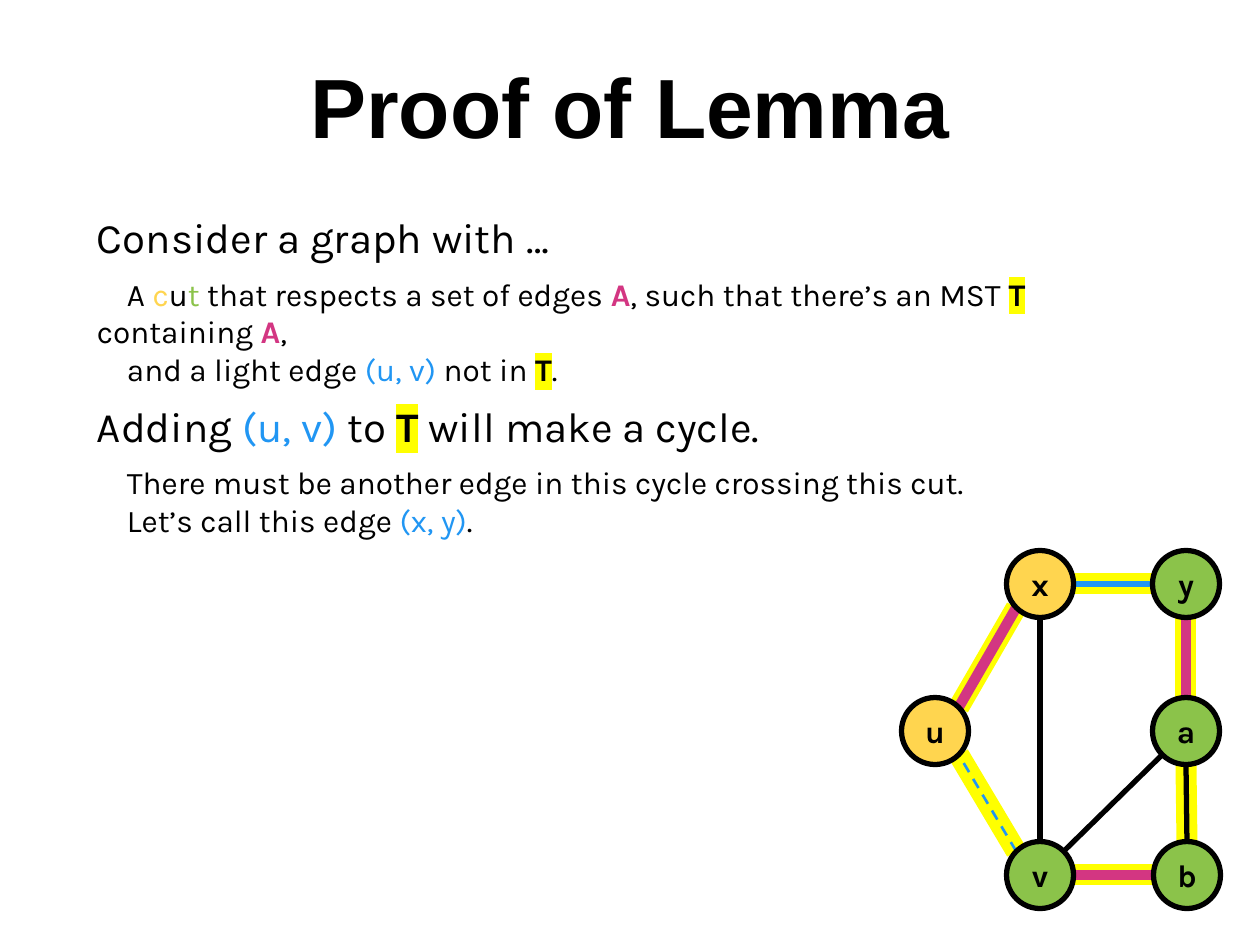
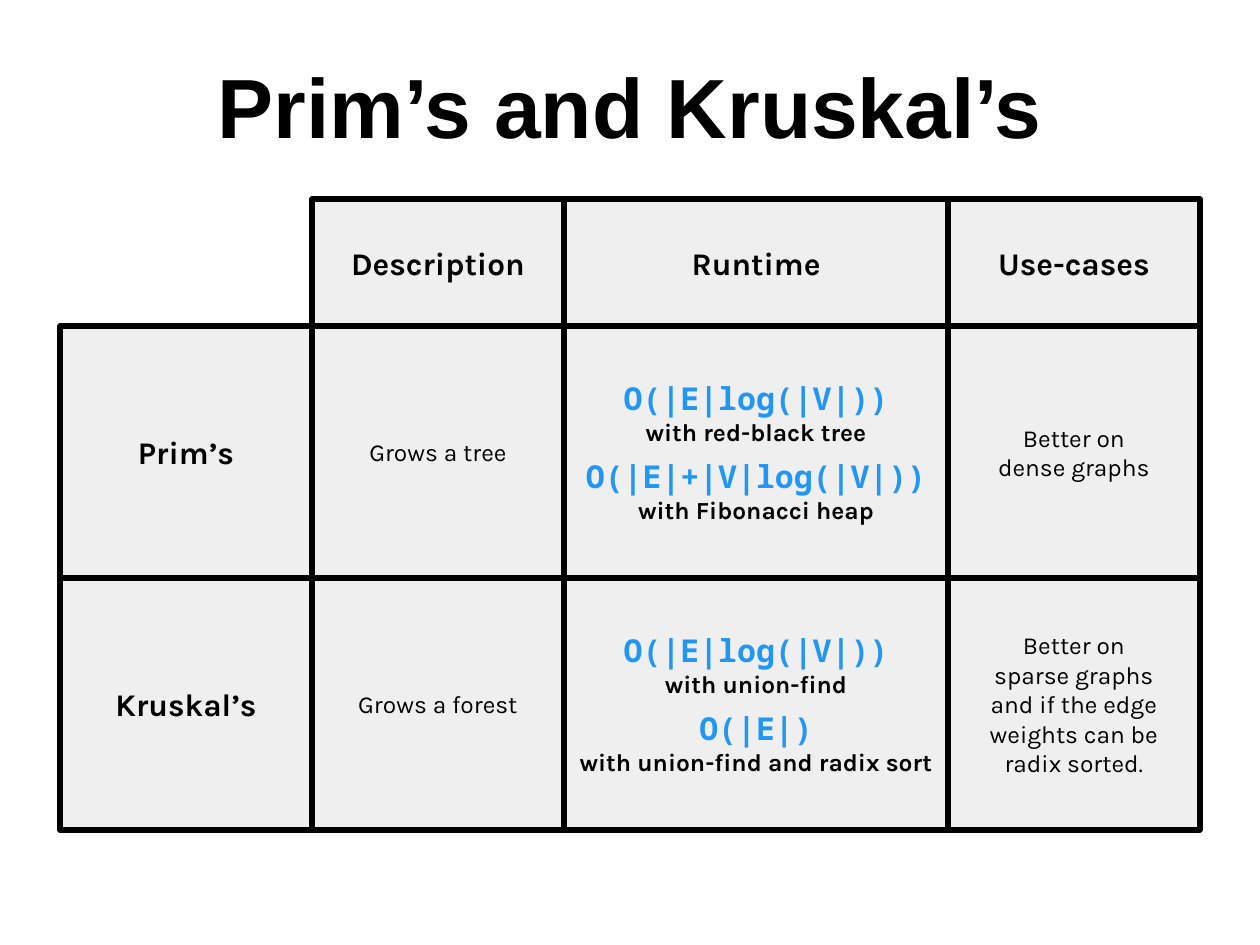
import lxml.etree
import pptx
import pptx.dml.color
import pptx.enum.dml
import pptx.enum.shapes
import pptx.enum.text
import pptx.oxml.ns
import pptx.util

EMU_PER_PX = 914400 / 126
MARGIN = 13
NODE_SIZE = 67
PROOF_GAP = 7  # points between text groups
COST_GAP = 6

COLORS = {
    "black": "000000",
    "white": "FFFFFF",
    "yellow": "FFFF00",
    "amber": "FFD54F",
    "green": "8BC34A",
    "pink": "D33682",
    "blue": "2196F3",
    "grey": "EFEFEF",
}

# name: (font, size, bold, color)
STYLES = {
    "title": ("Arial", 48, True, "black"),
    "point": ("Karla", 24, False, "black"),
    "detail": ("Karla", 18, False, "black"),
    "label": ("Karla", 18, True, "black"),
    "body": ("Karla", 14, False, "black"),
    "cost": ("Noto Sans Mono", 18, True, "blue"),
    "note": ("Karla", 14, True, "black"),
}

# Marks that a run may carry: (color, bold, highlighted)
MARKS = {
    "left": ("amber", False, False),
    "right": ("green", False, False),
    "set": ("pink", True, False),
    "edge": ("blue", False, False),
    "tree": ("black", True, True),
}
A, T, UV = ("A", "set"), ("T", "tree"), ("(u, v)", "edge")

# (style, starts a group, runs)
PROOF = [
    ("point", False, ["Consider a graph with …"]),
    ("detail", True, ["A ", ("c", "left"), "u", ("t", "right"),
                      " that respects a set of edges ", A,
                      ", such that there’s an MST ", T, " containing ", A, ","]),
    ("detail", False, ["and a light edge ", UV, " not in ", T, "."]),
    ("point", True, ["Adding ", UV, " to ", T, " will make a cycle."]),
    ("detail", True, ["There must be another edge in this cycle crossing this cut."]),
    ("detail", False, ["Let’s call this edge ", ("(x, y)", "edge"), "."]),
]

# name: (center x, center y, color)
NODES = {
    "x": (1040, 584, "amber"),
    "y": (1186, 584, "green"),
    "b": (1187, 875, "green"),
    "u": (935, 731, "amber"),
    "v": (1040, 875, "green"),
    "a": (1186, 731, "green"),
}

SIDES = {"n": (0, -1), "s": (0, 1), "e": (1, 0), "w": (-1, 0),
         "ne": (0.71, -0.71), "se": (0.71, 0.71),
         "nw": (-0.71, -0.71), "sw": (-0.71, 0.71)}

# (from node, side, to node, side, color, width, dashed, highlighted)
EDGES = [
    ("x", "e", "y", "w", "blue", 3, False, True),
    ("v", "e", "b", "w", "pink", 6, False, True),
    ("v", "nw", "u", "se", "blue", 1.5, True, True),
    ("u", "ne", "x", "sw", "pink", 6, False, True),
    ("v", "n", "x", "s", "black", 3, False, False),
    ("a", "n", "y", "s", "pink", 6, False, True),
    ("b", "n", "a", "s", "black", 3, False, True),
    ("v", "ne", "a", "sw", "black", 3, False, False),
]

GRID_LEFT, GRID_TOP = 60, 199
COLUMN_WIDTHS = [252, 252, 384, 252]
ROW_HEIGHTS = [127, 252, 252]
# Each cell is a list of (style, text)
COMPARISON = [
    [[], [("label", "Description")], [("label", "Runtime")], [("label", "Use-cases")]],
    [[("label", "Prim’s")],
     [("body", "Grows a tree")],
     [("cost", "O(|E|log(|V|))"), ("note", "with red-black tree"),
      ("cost", "O(|E|+|V|log(|V|))"), ("note", "with Fibonacci heap")],
     [("body", "Better on"), ("body", "dense graphs")]],
    [[("label", "Kruskal’s")],
     [("body", "Grows a forest")],
     [("cost", "O(|E|log(|V|))"), ("note", "with union-find"),
      ("cost", "O(|E|)"), ("note", "with union-find and radix sort")],
     [("body", "Better on"), ("body", "sparse graphs"), ("body", "and if the edge"),
      ("body", "weights can be"), ("body", "radix sorted.")]],
]


def px(length):
    return pptx.util.Emu(round(length * EMU_PER_PX))


def rgb(color):
    return pptx.dml.color.RGBColor.from_string(COLORS[color])


def add_xml(parent, tag, **attributes):
    return lxml.etree.SubElement(parent, pptx.oxml.ns.qn(tag), **attributes)


def prepare_text(text_frame):
    text_frame.word_wrap = True
    text_frame.margin_left = text_frame.margin_right = px(MARGIN)
    text_frame.margin_top = text_frame.margin_bottom = px(MARGIN)


def style_paragraph(paragraph, style, centered=True):
    name, size, bold, color = STYLES[style]
    if centered:
        paragraph.alignment = pptx.enum.text.PP_ALIGN.CENTER
    paragraph.font.name = name
    paragraph.font.size = pptx.util.Pt(size)
    paragraph.font.bold = bold
    paragraph.font.color.rgb = rgb(color)


def next_paragraph(text_frame, index):
    return text_frame.add_paragraph() if index else text_frame.paragraphs[0]


def add_text_box(slide, left, top, width, height):
    box = slide.shapes.add_textbox(px(left), px(top), px(width), px(height))
    prepare_text(box.text_frame)
    return box.text_frame


def add_outlined_shape(slide, kind, left, top, width, height, fill, lines):
    """Add a filled shape with a black outline and centred (style, text) lines."""
    shape = slide.shapes.add_shape(kind, px(left), px(top), px(width), px(height))
    shape.shadow.inherit = False
    shape.fill.solid()
    shape.fill.fore_color.rgb = rgb(fill)
    shape.line.color.rgb = rgb("black")
    shape.line.width = pptx.util.Pt(3)
    add_xml(shape.line._get_or_add_ln(), "a:round")
    prepare_text(shape.text_frame)
    shape.text_frame.vertical_anchor = pptx.enum.text.MSO_ANCHOR.MIDDLE
    for index, (style, text) in enumerate(lines):
        paragraph = next_paragraph(shape.text_frame, index)
        paragraph.text = text
        if index and style == "cost":
            paragraph.space_before = pptx.util.Pt(COST_GAP)
        style_paragraph(paragraph, style)


def add_slide(presentation, title):
    slide = presentation.slides.add_slide(presentation.slide_layouts[6])
    slide.background.fill.solid()
    slide.background.fill.fore_color.rgb = rgb("white")
    paragraph = add_text_box(slide, 0, 42, 1260, 157).paragraphs[0]
    paragraph.text = title
    style_paragraph(paragraph, "title")
    return slide


def add_marked_run(paragraph, text, mark):
    color, bold, highlighted = MARKS[mark]
    run = paragraph.add_run()
    run.text = text
    run.font.bold = bold
    run.font.color.rgb = rgb(color)
    if highlighted:
        highlight = add_xml(run.font._element, "a:highlight")
        add_xml(highlight, "a:srgbClr", val=COLORS["yellow"])


def add_proof(slide):
    text_frame = add_text_box(slide, 84, 199, 1092, 746)
    for index, (style, starts_group, runs) in enumerate(PROOF):
        paragraph = next_paragraph(text_frame, index)
        if style == "detail":
            properties = paragraph._p.get_or_add_pPr()
            properties.set("marL", "0")
            properties.set("indent", str(px(30)))
        if starts_group:
            paragraph.space_before = pptx.util.Pt(PROOF_GAP)
        style_paragraph(paragraph, style, centered=False)
        for run in runs:
            if isinstance(run, str):
                paragraph.add_run().text = run
            else:
                add_marked_run(paragraph, *run)


def node_side(node, side):
    """Return the point where an edge meets the rim of a node."""
    center_x, center_y, _ = NODES[node]
    step_x, step_y = SIDES[side]
    return (px(center_x + step_x * NODE_SIZE / 2),
            px(center_y + step_y * NODE_SIZE / 2))


def add_edge(slide, start, end, color, width, dashed=False):
    connector = slide.shapes.add_connector(
        pptx.enum.shapes.MSO_CONNECTOR.STRAIGHT, *start, *end)
    connector.line.color.rgb = rgb(color)
    connector.line.width = pptx.util.Pt(width)
    if dashed:
        connector.line.dash_style = pptx.enum.dml.MSO_LINE.DASH
    add_xml(connector._element.spPr, "a:effectLst")


def add_graph(slide):
    edges = [(node_side(*edge[:2]), node_side(*edge[2:4]), *edge[4:]) for edge in EDGES]
    for start, end, *_, highlighted in edges:
        if highlighted:
            add_edge(slide, start, end, "yellow", 12)
    for start, end, color, width, dashed, _ in edges:
        add_edge(slide, start, end, color, width, dashed)
    for name, (center_x, center_y, color) in NODES.items():
        add_outlined_shape(slide, pptx.enum.shapes.MSO_SHAPE.OVAL,
                           center_x - NODE_SIZE / 2, center_y - NODE_SIZE / 2,
                           NODE_SIZE, NODE_SIZE, color, [("label", name)])


def add_comparison(slide):
    """Lay out the comparison cells, leaving the empty corner open."""
    top = GRID_TOP
    for height, row in zip(ROW_HEIGHTS, COMPARISON):
        left = GRID_LEFT
        for width, lines in zip(COLUMN_WIDTHS, row):
            if lines:
                add_outlined_shape(slide, pptx.enum.shapes.MSO_SHAPE.RECTANGLE,
                                   left, top, width, height, "grey", lines)
            left += width
        top += height


def main():
    presentation = pptx.Presentation()
    presentation.slide_width = px(1260)
    presentation.slide_height = px(945)

    lemma_slide = add_slide(presentation, "Proof of Lemma")
    add_proof(lemma_slide)
    add_graph(lemma_slide)

    add_comparison(add_slide(presentation, "Prim’s and Kruskal’s"))
    presentation.save("out.pptx")


if __name__ == "__main__":
    main()
